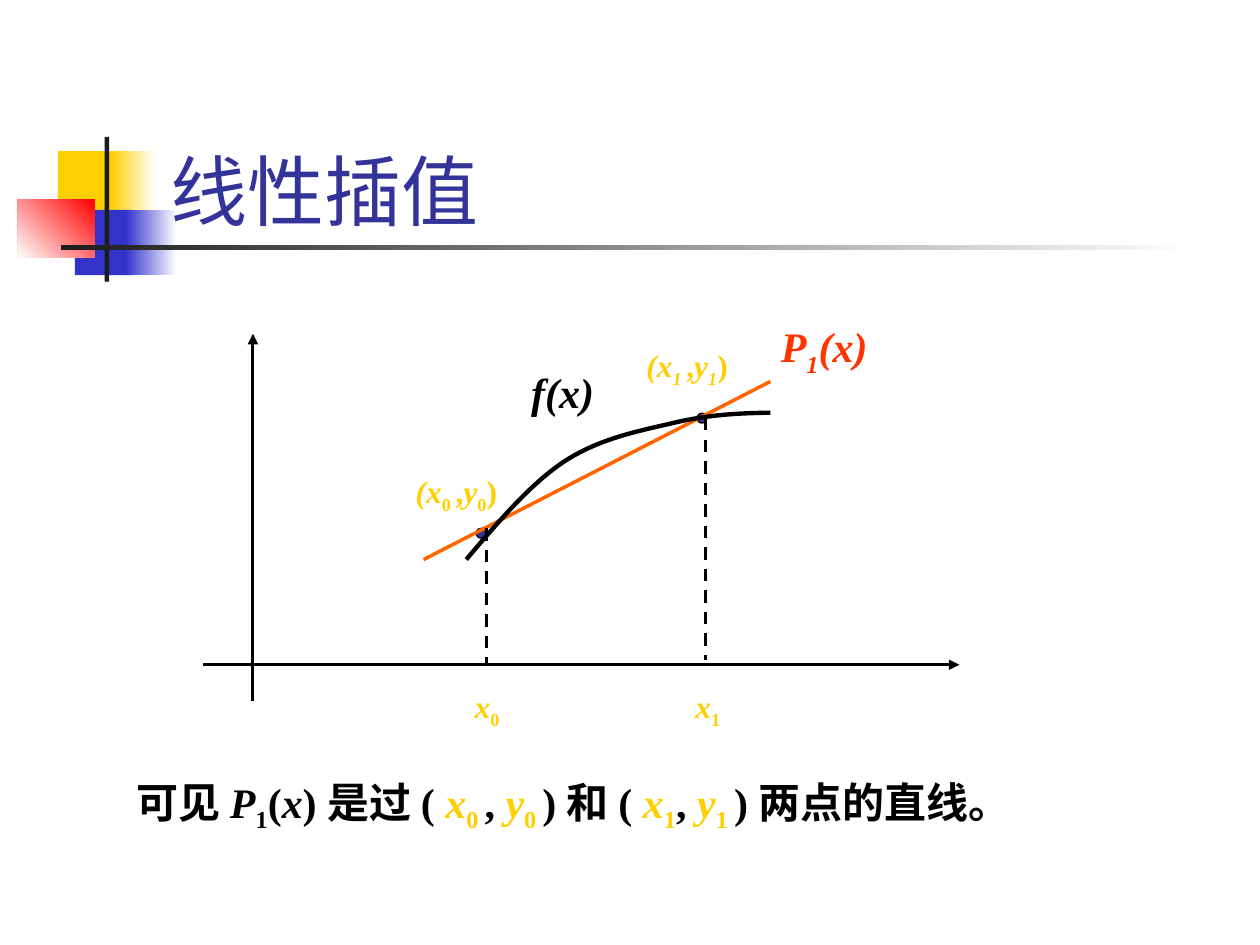
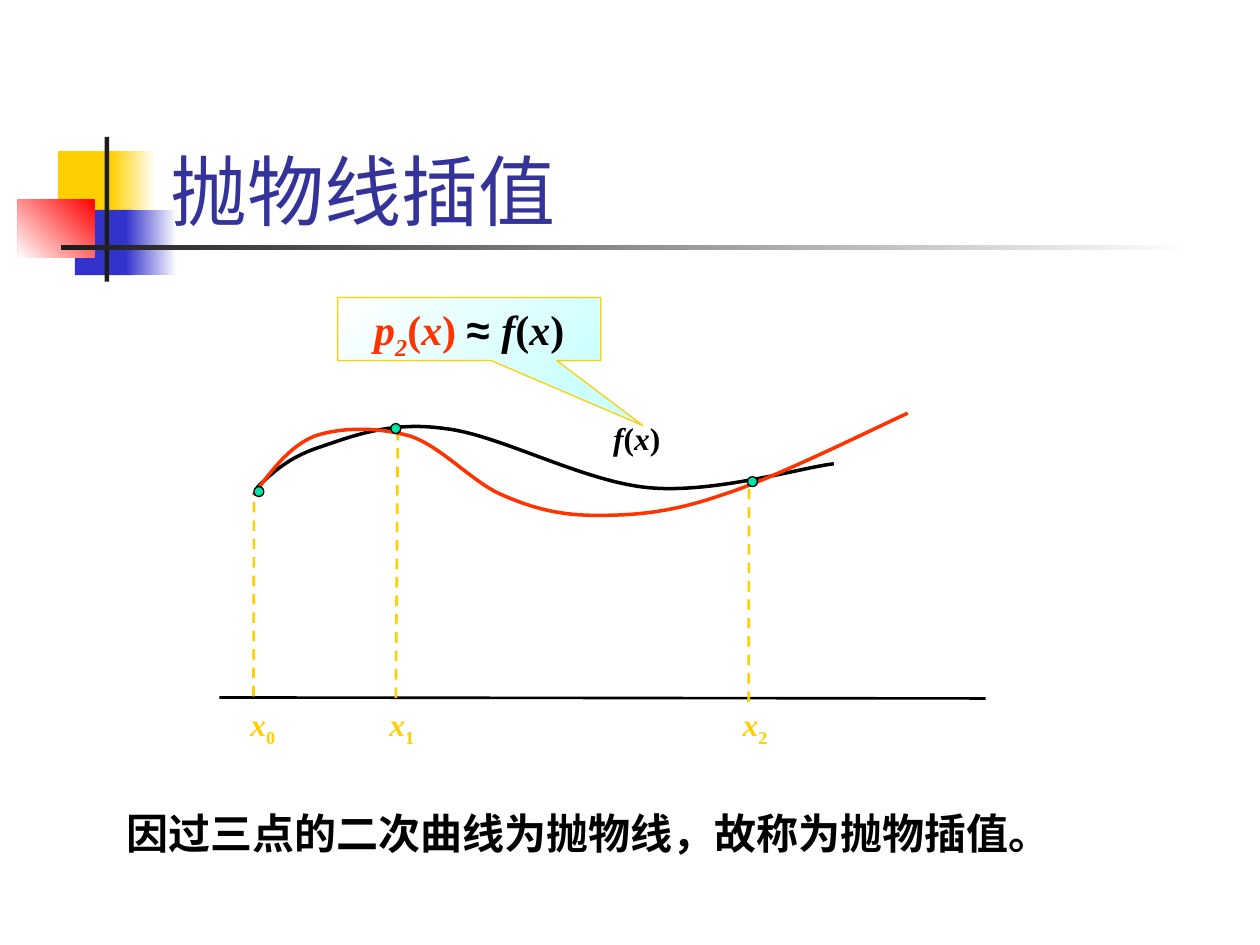
from dataclasses import dataclass

from lxml import etree
from pptx import Presentation, util as u
from pptx.dml.color import RGBColor
from pptx.enum import dml, shapes, text
from pptx.oxml.ns import qn


@dataclass(frozen=True)
class Theme:
    gold: str = "FFCF01"
    blue: str = "3333CC"
    red: str = "FF0000"
    white: str = "FFFFFF"
    coal: str = "1C1C1C"
    navy: str = "333399"
    black: str = "000000"
    flame: str = "FF3300"
    orange: str = "FF6600"
    mint: str = "00E4A8"
    ice: str = "CCFFFF"
    title: int = 44
    body: int = 24
    label: int = 18
    serif: str = "Times New Roman"
    sans: str = "Lato"
    sign: str = "Arial"
    han: str = "Noto Sans CJK SC"


T = Theme()
INKS = {"k": T.black, "g": T.gold, "r": T.flame}
KIND = shapes.MSO_SHAPE


def put(obj, **vals):
    for name, val in vals.items():
        setattr(obj, name, val)


def rgb(ink):
    return RGBColor.from_string(ink)


def bend(item):
    """Turn each three straight segments of an outline into one cubic curve."""
    path = next(item._element.iter(qn("a:path")))
    legs = path.findall(qn("a:lnTo"))
    for k in range(0, len(legs), 3):
        cubic = etree.SubElement(path, qn("a:cubicBezTo"))
        for leg in legs[k:k + 3]:
            cubic.append(leg[0])
            path.remove(leg)


def write(frame, runs, size, font=T.serif, ink=T.black, bold=True, **para):
    """Add (words, marks) runs; marks: i italic, s subscript, a sign font, k g r inks."""
    par = frame.paragraphs[0]
    put(par, **para)
    for words, marks in runs:
        run = par.add_run()
        run.text = words
        put(run.font, size=u.Pt(size), bold=bold, italic="i" in marks,
            name=T.sign if "a" in marks else font)
        own = [INKS[m] for m in marks if m in INKS]
        run.font.color.rgb = rgb(own[0] if own else ink)
        props = run.font._element
        if "s" in marks:
            props.set("baseline", "-25000")
        etree.SubElement(props, qn("a:ea")).set("typeface", T.han)


class Box:
    """A region of a slide; all places are in cm from its top left corner."""

    def __init__(self, slide, left, top):
        self.pool, self.left, self.top = slide.shapes, left, top

    def at(self, x, y):
        return u.Cm(self.left + x), u.Cm(self.top + y)

    def shape(self, x, y, w, h, fill, kind=KIND.RECTANGLE, edge=None, fade=None):
        """Draw a preset shape; fade is the angle of a gradient to white."""
        item = self.pool.add_shape(kind, *self.at(x, y), u.Cm(w), u.Cm(h))
        item.shadow.inherit = False
        if fade is None:
            item.fill.solid()
            item.fill.fore_color.rgb = rgb(fill)
        else:
            item.fill.gradient()
            item.fill.gradient_angle = fade
            for stop, ink in zip(item.fill.gradient_stops, (fill, T.white)):
                stop.color.rgb = rgb(ink)
        if edge:
            self.pen(item, edge, 0.75)
        else:
            item.line.fill.background()
        return item

    def pen(self, item, ink, width):
        item.line.color.rgb = rgb(ink)
        item.line.width = u.Pt(width)

    def dot(self, x, y, fill):
        self.shape(x, y, 0.2, 0.2, fill, KIND.OVAL, T.black)

    def line(self, start, end, ink, width, dash=False, arrow=False):
        item = self.pool.add_connector(
            shapes.MSO_CONNECTOR.STRAIGHT, *self.at(*start), *self.at(*end))
        self.pen(item, ink, width)
        if dash:
            item.line.dash_style = dml.MSO_LINE.DASH
        props = item._element.spPr
        if arrow:
            etree.SubElement(props.find(qn("a:ln")), qn("a:tailEnd")).set("type", "triangle")
        etree.SubElement(props, qn("a:effectLst"))

    def curve(self, pts, ink, width):
        """Draw a chain of cubic curves: a start, then three points a curve."""
        first, *rest = [self.at(*p) for p in pts]
        pen = self.pool.build_freeform(*first)
        pen.add_line_segments(rest, close=False)
        item = pen.convert_to_shape()
        bend(item)
        item.shadow.inherit = False
        item.fill.background()
        self.pen(item, ink, width)

    def words(self, x, y, w, h, runs, size, anchor=text.MSO_ANCHOR.TOP, **style):
        frame = self.pool.add_textbox(*self.at(x, y), u.Cm(w), u.Cm(h)).text_frame
        put(frame, word_wrap=True, vertical_anchor=anchor)
        write(frame, runs, size, **style)

    def node(self, x, y, w, digit):
        self.words(x, y, w, 1.12, [("x", "ig"), (digit, "sg")], T.label)


def header(slide, title):
    box = Box(slide, 0.36, 1.7)
    for y, ink, (x, w), (fx, fw) in (
            (1.35, T.gold, (0.81, 1.22), (1.87, 0.91)),
            (2.53, T.blue, (1.15, 1.17), (2.18, 1.02))):
        box.shape(x, y, w, 1.32, ink)
        box.shape(fx, y, fw, 1.32, ink, fade=0)
    box.shape(0, 2.32, 1.55, 1.18, T.red, fade=225)
    box.shape(1.75, 1.06, 0.09, 2.92, T.coal)
    box.shape(0.87, 3.24, 22.86, 0.1, T.coal, fade=0)
    box.words(2.82, 0, 21.64, 3.18, [(title, "")], T.title,
              text.MSO_ANCHOR.BOTTOM, font=T.sans, ink=T.navy, bold=False)


def linear(slide, left, top):
    """Plot a curve and the straight line through two of its points."""
    box = Box(slide, left, top)
    box.line((0.1, 7.4), (15.34, 7.4), T.black, 1.75, arrow=True)
    for x, y in ((5.6, 4.65), (10.05, 2.33)):
        box.dot(x, y, T.navy)
    box.line((4.54, 5.28), (11.53, 1.69), T.orange, 2)
    for x, y, foot in ((5.81, 4.65, 7.41), (10.22, 2.43, 7.31)):
        box.line((x, y), (x, foot), T.black, 1.75, dash=True)
    box.words(4.13, 3.39, 2.34, 1.12, [
        ("(x", "i"), ("0 ", "s"), (",", ""), ("y", "i"), ("0", "s"), (")", "")],
        T.label, ink=T.gold)
    box.words(8.78, 0.85, 2.34, 1.12, [
        ("(x", "i"), ("1 ", "is"), (",", ""), ("y", "i"), ("1", "is"), (")", "")],
        T.label, ink=T.gold)
    box.words(11.49, 0.34, 2.29, 1.42, [("P", "i"), ("1", "is"), ("(x)", "i")],
              T.body, ink=T.flame)
    box.curve([(11.53, 2.32), (10.88, 2.33), (10.27, 2.36), (9.56, 2.53),
               (8.88, 2.69), (8.07, 2.84), (7.35, 3.32),
               (6.67, 3.78), (6.03, 4.54), (5.4, 5.28)], T.black, 2.5)
    box.words(6.46, 1.26, 1.9, 1.27, [("f(x)", "i")], T.body)
    box.line((1.1, 8.13), (1.1, 0.73), T.black, 1.75, arrow=True)
    for x, digit in ((5.32, "0"), (9.77, "1")):
        box.node(x, 7.72, 1.1, digit)


def parabola(slide, left, top):
    """Plot a curve and the parabola through three of its points."""
    box = Box(slide, left, top)
    box.line((0.42, 8.56), (15.87, 8.58), T.black, 1.5)
    box.curve([(1.18, 4.33), (1.49, 4.03), (1.82, 3.72), (2.43, 3.52),
               (3.06, 3.31), (3.85, 2.98), (4.97, 3.14),
               (6.06, 3.26), (7.73, 4.2), (9.06, 4.33),
               (10.38, 4.46), (12.18, 3.92), (12.81, 3.85)], T.black, 2)
    for foot, tip in (((1.11, 8.54), (1.12, 4.5)), ((3.98, 8.57), (4.02, 3.03)),
                      ((11.09, 8.65), (11.1, 4.28))):
        box.line(foot, tip, T.gold, 1.5, dash=True)
    for x, digit in ((0.8, "0"), (3.6, "1"), (10.72, "2")):
        box.node(x, 8.59, 1.57, digit)
    box.curve([(1.11, 4.48), (1.46, 4), (1.84, 3.49), (2.35, 3.29),
               (2.88, 3.11), (3.62, 3.11), (4.26, 3.29),
               (4.89, 3.49), (5.53, 4.23), (6.13, 4.48),
               (6.77, 4.76), (7.3, 4.89), (8.04, 4.89),
               (8.78, 4.89), (9.51, 4.84), (10.55, 4.48),
               (11.6, 4.15), (13.68, 3.11), (14.3, 2.83)], T.flame, 2)
    note = box.shape(2.81, 0.5, 5.3, 1.27, T.ice, KIND.RECTANGULAR_CALLOUT,
                     T.gold, fade=135)
    for k, val in enumerate((0.66, 1.53)):
        note.adjustments[k] = val
    put(note.text_frame, word_wrap=True, vertical_anchor=text.MSO_ANCHOR.TOP)
    fx = [("f", "i"), ("(", ""), ("x", "i"), (")", "")]
    write(note.text_frame, [("p", "ir"), ("2", "isr"), ("(", "r"), ("x", "ir"),
                            (") ", "r"), ("≈ ", "a"), *fx],
          T.body, alignment=text.PP_ALIGN.CENTER)
    box.words(8.11, 2.83, 1.5, 1.02, fx, T.label)
    for x, y in ((11.07, 4.11), (3.88, 3.04), (1.12, 4.31)):
        box.dot(x, y, T.mint)


def caption(slide, left, top, width, height, runs, font=T.serif):
    Box(slide, left, top).words(0, 0, width, height, runs, T.body, font=font)


def main():
    deck = Presentation()
    put(deck, slide_width=u.Cm(25.4), slide_height=u.Cm(19.05))
    blank = deck.slide_layouts[6]

    first = deck.slides.add_slide(blank)
    header(first, "线性插值")
    linear(first, 4, 6)
    caption(first, 2.5, 15.52, 18.3, 2.44, [
        ("可见 ", ""), ("P", "i"), ("1", "s"), ("(", ""), ("x", "i"), (") 是过 ( ", ""),
        ("x", "ig"), ("0 ", "sg"), (", ", ""), ("y", "ig"), ("0 ", "sg"),
        (") 和 ( ", ""), ("x", "ig"), ("1", "sg"), (", ", ""), ("y", "ig"),
        ("1 ", "sg"), (") 两点的直线。", "")])

    second = deck.slides.add_slide(blank)
    header(second, "抛物线插值")
    parabola(second, 4, 5.5)
    caption(second, 2.31, 16.15, 19.6, 1.27,
            [("因过三点的二次曲线为抛物线，故称为抛物插值。", "")], T.han)
    deck.save("out.pptx")


if __name__ == "__main__":
    main()
